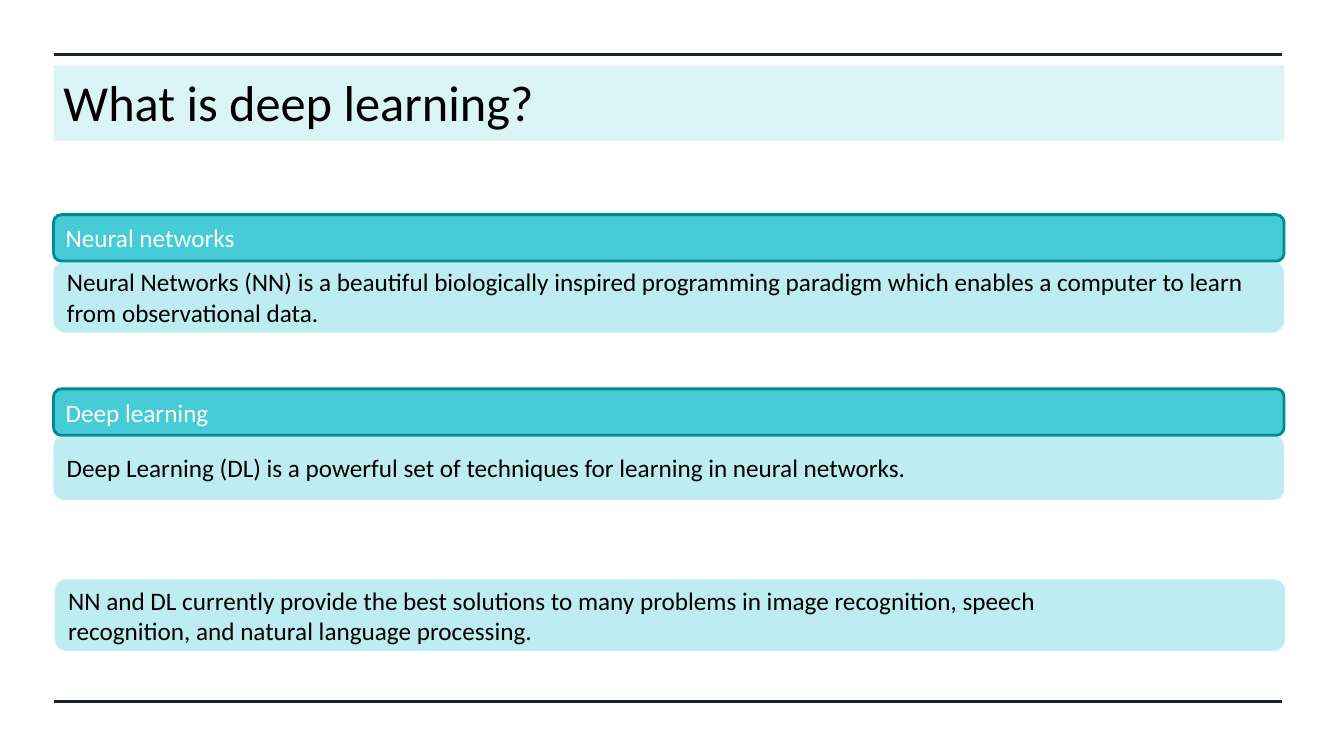
from lxml import etree
from pptx import Presentation
from pptx.dml.color import RGBColor
from pptx.enum.shapes import MSO_CONNECTOR, MSO_SHAPE
from pptx.enum.text import MSO_ANCHOR, PP_ALIGN
from pptx.oxml.ns import qn
from pptx.util import Cm, Pt

TEAL = RGBColor(0x00, 0xBA, 0xC8)
DARK_TEAL = RGBColor(0x00, 0x8A, 0x94)
NAVY = RGBColor(0x18, 0x22, 0x30)
BLACK = RGBColor(0x00, 0x00, 0x00)
WHITE = RGBColor(0xFF, 0xFF, 0xFF)

LEFT, WIDTH = 1.35, 31.01
RULE_WIDTH = 30.96
HEADING_HEIGHT = 1.17
ROUNDED = MSO_SHAPE.FLOWCHART_ALTERNATE_PROCESS

TOPICS = [
    (5.41, 1.8, "Neural networks",
     "Neural Networks (NN) is a beautiful biologically inspired programming "
     "paradigm which enables a computer to learn from observational data."),
    (9.8, 1.63, "Deep learning",
     "Deep Learning (DL) is a powerful set of techniques for learning in "
     "neural networks."),
]
CONCLUSION = [
    "NN and DL currently provide the best solutions to many problems in "
    "image recognition, speech",
    "recognition, and natural language processing.",
]


def write(sp, lines, size, color):
    tf = sp.text_frame
    tf.word_wrap = True
    tf.vertical_anchor = MSO_ANCHOR.MIDDLE
    for i, line in enumerate(lines):
        p = tf.paragraphs[0] if i == 0 else tf.add_paragraph()
        p.alignment = PP_ALIGN.LEFT
        r = p.add_run()
        r.text = line
        r.font.name = "Calibri"
        r.font.size = Pt(size)
        r.font.color.rgb = color


def add_panel(s, kind, left, top, width, height, opacity, outline=None):
    sp = s.shapes.add_shape(kind, Cm(left), Cm(top), Cm(width), Cm(height))
    sp.shadow.inherit = False
    sp.fill.solid()
    sp.fill.fore_color.rgb = TEAL
    clr = sp.fill._xPr.find(qn("a:solidFill"))[0]
    etree.SubElement(clr, qn("a:alpha")).set("val", str(opacity * 1000))
    if outline is None:
        sp.line.fill.background()
    else:
        sp.line.color.rgb = outline
        sp.line.width = Pt(2)
    return sp


def add_rule(s, left, top, width):
    rule = s.shapes.add_connector(
        MSO_CONNECTOR.STRAIGHT, Cm(left), Cm(top), Cm(left + width), Cm(top))
    rule.line.color.rgb = NAVY
    rule.line.width = Pt(2.25)
    etree.SubElement(rule._element.spPr, qn("a:effectLst"))


def add_title(s, left, top, width, height, text):
    add_panel(s, MSO_SHAPE.RECTANGLE, left, top, width, height, 14)
    box = s.shapes.add_textbox(
        Cm(left), Cm(top - 0.61), Cm(width - 1.47), Cm(height + 1.15))
    write(box, [text], 36, BLACK)


def add_statement(s, left, top, width, height, lines):
    sp = add_panel(s, ROUNDED, left, top, width, height, 26)
    write(sp, lines, 18, BLACK)


def add_topic(s, left, top, width, body_height, heading, body):
    sp = add_panel(s, ROUNDED, left, top, width, HEADING_HEIGHT, 73, DARK_TEAL)
    write(sp, [heading], 18, WHITE)
    add_statement(s, left, top + HEADING_HEIGHT, width, body_height, [body])


def main():
    prs = Presentation()
    prs.slide_width, prs.slide_height = Cm(33.87), Cm(19.05)
    s = prs.slides.add_slide(prs.slide_layouts[6])
    for top in (1.37, 17.68):
        add_rule(s, LEFT, top, RULE_WIDTH)
    add_title(s, LEFT, 1.65, WIDTH, 1.9, "What is deep learning?")
    for top, body_height, heading, body in TOPICS:
        add_topic(s, LEFT, top, WIDTH, body_height, heading, body)
    add_statement(s, LEFT + 0.03, 14.6, WIDTH, 1.8, CONCLUSION)
    prs.save("out.pptx")


if __name__ == "__main__":
    main()
